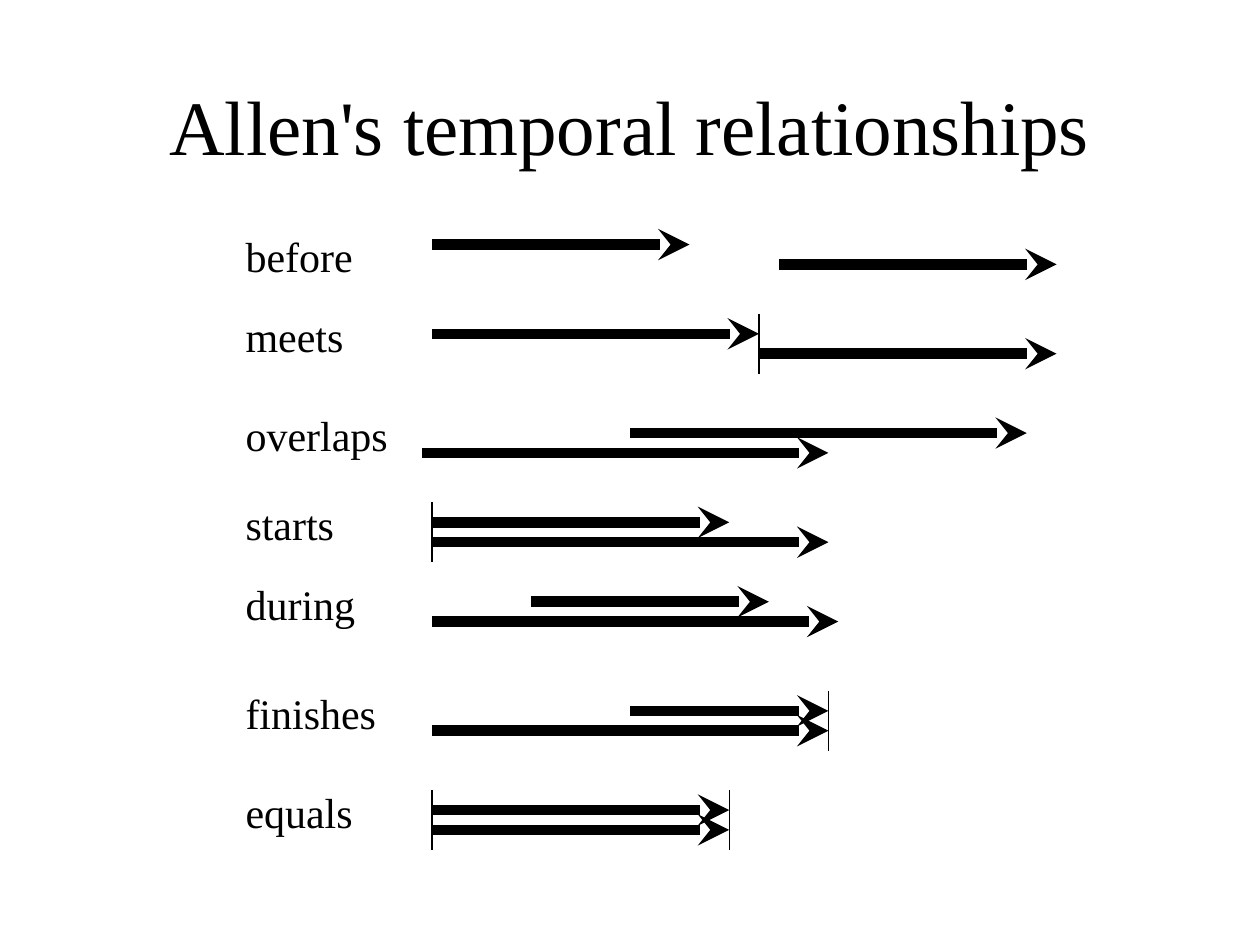
import pptx
import pptx.dml.color
import pptx.enum.shapes
import pptx.enum.text
import pptx.oxml
import pptx.oxml.ns
import pptx.util
from lxml import etree

Cm = pptx.util.Cm
Pt = pptx.util.Pt
BLACK = pptx.dml.color.RGBColor(0, 0, 0)
FONT = "Times New Roman"

LABEL_LEFT = 4.7
LABEL_HEIGHT = 1.27
INTERVAL_GAP = 0.4
MARK_HEIGHT = 1.2
START = 8.71

RELATIONS = [
    ("before", 2.75, 0.4, 4.93, (START, 13.9), (15.7, 21.3), []),
    ("meets", 2.55, 0.6, 6.73, (START, 15.3), (15.3, 21.3), [15.3]),
    ("overlaps", 3.45, 0.6, 8.73, (12.7, 20.7), (8.51, 16.7), []),
    ("starts", 2.35, 0.6, 10.53, (START, 14.7), (START, 16.7), [START]),
    ("during", 2.8, 0.6, 12.13, (10.7, 15.5), (START, 16.9), []),
    ("finishes", 3.25, 0.6, 14.33, (12.7, 16.7), (START, 16.7), [16.7]),
    ("equals", 2.75, 0.6, 16.33, (START, 14.7), (START, 14.7), [START, 14.7]),
]


def format_text(frame, size, alignment):
    paragraph = frame.paragraphs[0]
    paragraph.alignment = alignment
    font = paragraph.runs[0].font
    font.name = FONT
    font.size = Pt(size)
    font.color.rgb = BLACK


def set_title(slide, wording):
    title = slide.shapes.title
    title.left, title.top = Cm(1.9), Cm(0.92)
    title.width, title.height = Cm(21.6), Cm(3.18)
    frame = title.text_frame
    frame.text = wording
    frame.auto_size = pptx.enum.text.MSO_AUTO_SIZE.NONE
    frame.vertical_anchor = pptx.enum.text.MSO_ANCHOR.MIDDLE
    format_text(frame, 44, pptx.enum.text.PP_ALIGN.CENTER)


def add_label(slide, wording, top, width):
    label = slide.shapes.add_textbox(
        Cm(LABEL_LEFT), Cm(top), Cm(width), Cm(LABEL_HEIGHT))
    frame = label.text_frame
    frame.text = wording
    frame.word_wrap = True
    frame.auto_size = pptx.enum.text.MSO_AUTO_SIZE.NONE
    format_text(frame, 24, pptx.enum.text.PP_ALIGN.LEFT)


def add_line(slide, start, end, weight):
    stroke = slide.shapes.add_connector(
        pptx.enum.shapes.MSO_CONNECTOR.STRAIGHT,
        Cm(start[0]), Cm(start[1]), Cm(end[0]), Cm(end[1]))
    stroke.line.width = Pt(weight)
    stroke.line.color.rgb = BLACK
    etree.SubElement(stroke.element.spPr, pptx.oxml.ns.qn("a:effectLst"))
    return stroke


def add_interval(slide, span, y):
    interval = add_line(slide, (span[0], y), (span[1], y), 6)
    outline = interval.line._get_or_add_ln()
    etree.SubElement(outline, pptx.oxml.ns.qn("a:tailEnd"), type="stealth")


def add_mark(slide, x, top):
    add_line(slide, (x, top), (x, top + MARK_HEIGHT), 0.75)


def add_relation(slide, name, width, rise, y, upper, lower, marks):
    add_interval(slide, upper, y)
    add_interval(slide, lower, y + INTERVAL_GAP)
    add_label(slide, name, y - rise, width)
    for x in marks:
        add_mark(slide, x, y - INTERVAL_GAP)


def main():
    deck = pptx.Presentation()
    deck.slide_width, deck.slide_height = Cm(25.4), Cm(19.05)
    slide = deck.slides.add_slide(deck.slide_layouts[5])
    set_title(slide, "Allen's temporal relationships")
    for relation in RELATIONS:
        add_relation(slide, *relation)
    deck.save("out.pptx")


if __name__ == "__main__":
    main()
